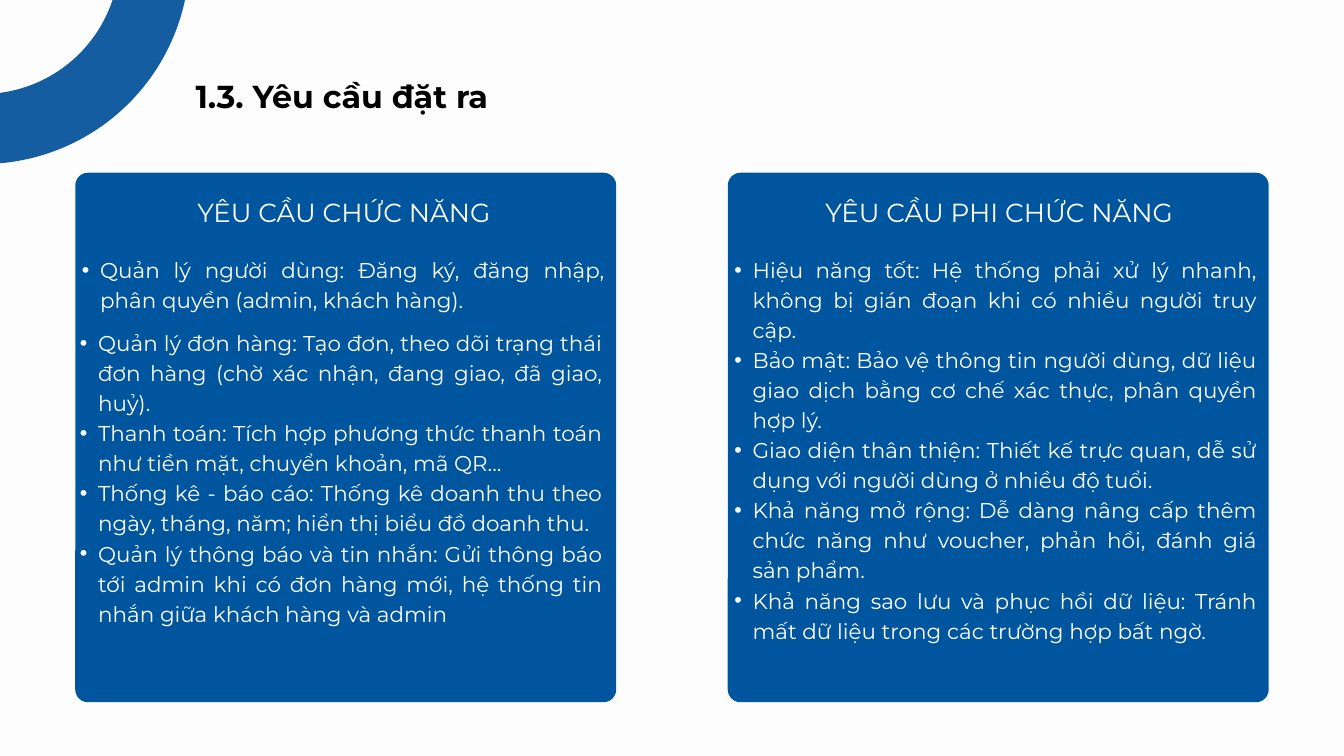
from dataclasses import dataclass

from lxml.etree import SubElement
from pptx import Presentation
from pptx.dml.color import RGBColor
from pptx.enum.shapes import MSO_SHAPE
from pptx.enum.text import MSO_AUTO_SIZE, PP_ALIGN
from pptx.oxml.ns import qn
from pptx.util import Inches, Pt


@dataclass(frozen=True)
class Theme:
    font: str = "Montserrat"
    background: RGBColor = RGBColor(0xFD, 0xFD, 0xFD)
    panel: RGBColor = RGBColor(0x00, 0x56, 0x9E)
    ring: RGBColor = RGBColor(0x14, 0x5D, 0xA0)
    dark: RGBColor = RGBColor(0, 0, 0)
    light: RGBColor = RGBColor(0xFF, 0xFF, 0xFF)
    title_size: float = 34
    heading_size: float = 28
    body_size: float = 23
    line_factor: float = 1.4


THEME = Theme()
PANEL_WIDTH, PANEL_HEIGHT = 8.05, 7.88
CORNER_RADIUS = 0.19
BULLET_INDENT = 0.27

FUNCTIONAL = [
    "Quản lý người dùng: Đăng ký, đăng nhập, phân quyền (admin, khách hàng).",
    "Quản lý đơn hàng: Tạo đơn, theo dõi trạng thái đơn hàng (chờ xác nhận, đang giao, đã giao, huỷ).",
    "Thanh toán: Tích hợp phương thức thanh toán như tiền mặt, chuyển khoản, mã QR...",
    "Thống kê - báo cáo: Thống kê doanh thu theo ngày, tháng, năm; hiển thị biểu đồ doanh thu.",
    "Quản lý thông báo và tin nhắn: Gửi thông báo tới admin khi có đơn hàng mới, "
    "hệ thống tin nhắn giữa khách hàng và admin",
]
NON_FUNCTIONAL = [
    "Hiệu năng tốt: Hệ thống phải xử lý nhanh, không bị gián đoạn khi có nhiều người truy cập.",
    "Bảo mật: Bảo vệ thông tin người dùng, dữ liệu giao dịch bằng cơ chế xác thực, phân quyền hợp lý.",
    "Giao diện thân thiện: Thiết kế trực quan, dễ sử dụng với người dùng ở nhiều độ tuổi.",
    "Khả năng mở rộng: Dễ dàng nâng cấp thêm chức năng như voucher, phản hồi, đánh giá sản phẩm.",
    "Khả năng sao lưu và phục hồi dữ liệu: Tránh mất dữ liệu trong các trường hợp bất ngờ.",
]


def add_bullet(para):
    para.level = 1
    properties = para._p.get_or_add_pPr()
    properties.set("marL", str(Inches(2 * BULLET_INDENT)))
    properties.set("indent", str(-Inches(BULLET_INDENT)))
    SubElement(properties, qn("a:buFont")).set("typeface", "Arial")
    SubElement(properties, qn("a:buChar")).set("char", "•")


def add_text(page, box, lines, size, color, align, bold=False, bullets=False):
    frame = page.shapes.add_textbox(*map(Inches, box)).text_frame
    frame.word_wrap = True
    frame.auto_size = MSO_AUTO_SIZE.SHAPE_TO_FIT_TEXT
    frame.margin_left = frame.margin_top = frame.margin_right = frame.margin_bottom = 0
    for index, line in enumerate(lines):
        para = frame.add_paragraph() if index else frame.paragraphs[0]
        para.text = line
        para.alignment = align
        para.line_spacing = Pt(size * THEME.line_factor)
        if bullets:
            add_bullet(para)
        para.font.name = THEME.font
        para.font.size = Pt(size)
        para.font.bold = bold
        para.font.color.rgb = color


def add_panel(page, box, heading, heading_shift, bullet_groups):
    left, top, width, height = box
    panel = page.shapes.add_shape(MSO_SHAPE.ROUNDED_RECTANGLE, *map(Inches, box))
    panel.adjustments[0] = CORNER_RADIUS / min(width, height)
    panel.shadow.inherit = False
    panel.fill.solid()
    panel.fill.fore_color.rgb = THEME.panel
    panel.line.fill.background()
    add_text(page, (left + heading_shift, top + 0.27, width, 0.52), [heading],
             THEME.heading_size, THEME.light, PP_ALIGN.CENTER)
    for shift, offset, group_height, items in bullet_groups:
        add_text(page, (left + shift, top + offset, width, group_height), items,
                 THEME.body_size, THEME.light, PP_ALIGN.JUSTIFY, bullets=True)


def add_corner_ring(page, box):
    ring = page.shapes.add_shape(MSO_SHAPE.OVAL, *map(Inches, box))
    ring.shadow.inherit = False
    ring.fill.background()
    ring.line.color.rgb = THEME.ring
    ring.line.width = Pt(75)


def main():
    deck = Presentation()
    deck.slide_width, deck.slide_height = Inches(20), Inches(11.25)
    page = deck.slides.add_slide(deck.slide_layouts[6])
    page.background.fill.solid()
    page.background.fill.fore_color.rgb = THEME.background

    add_text(page, (2.91, 1.05, 4.92, 0.63), ["1.3. Yêu cầu đặt ra"],
             THEME.title_size, THEME.dark, PP_ALIGN.JUSTIFY, bold=True)
    add_panel(page, (1.12, 2.57, PANEL_WIDTH, PANEL_HEIGHT), "YÊU CẦU CHỨC NĂNG", -0.03,
              [(-0.17, 1.19, 1.3, FUNCTIONAL[:1]), (-0.2, 2.28, 4.8, FUNCTIONAL[1:])])
    add_panel(page, (10.83, 2.57, PANEL_WIDTH, PANEL_HEIGHT), "YÊU CẦU PHI CHỨC NĂNG", 0.01,
              [(-0.17, 1.19, 6.11, NON_FUNCTIONAL)])
    add_corner_ring(page, (-2.83, -3.21, 5.13, 5.13))
    deck.save("out.pptx")


if __name__ == "__main__":
    main()
